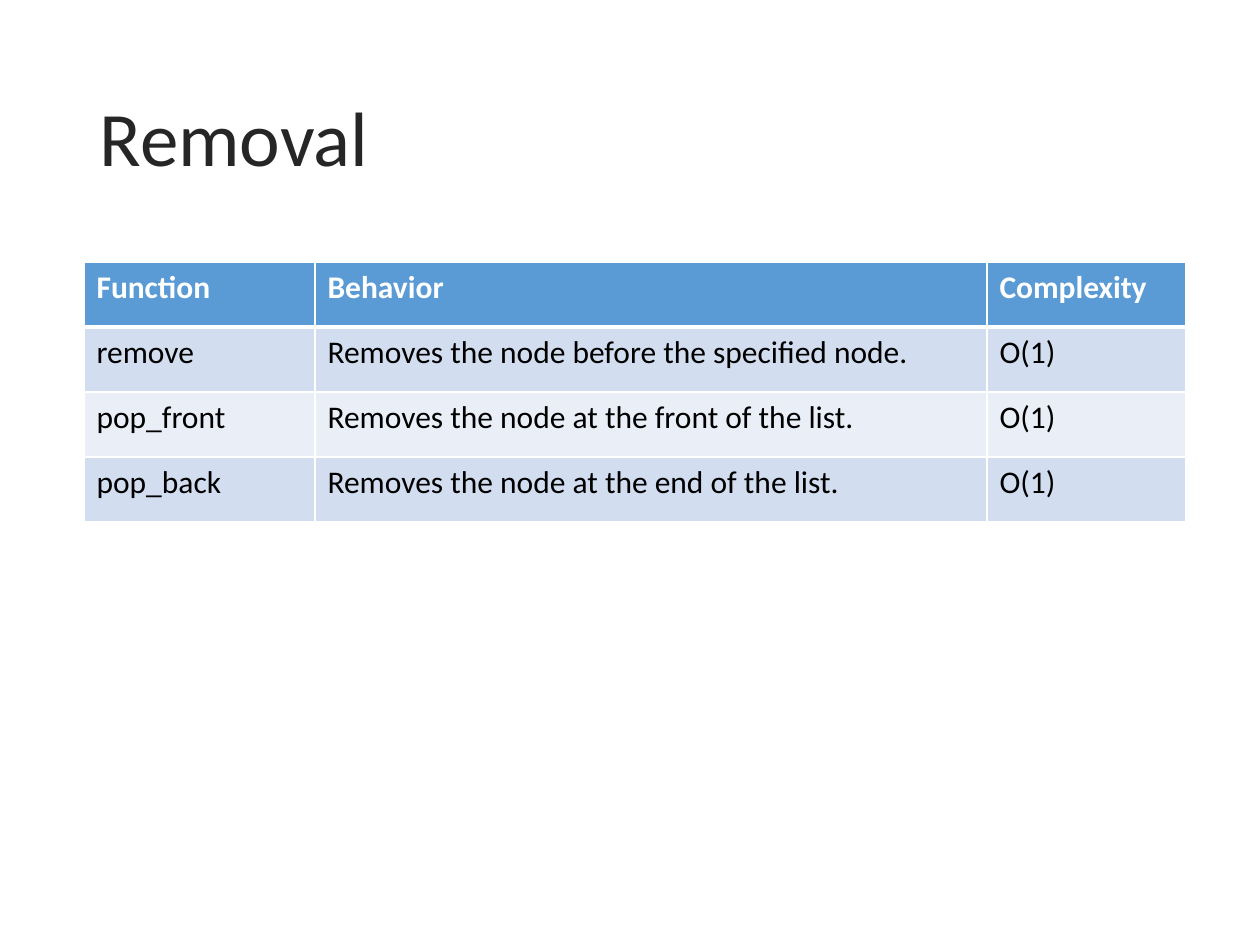
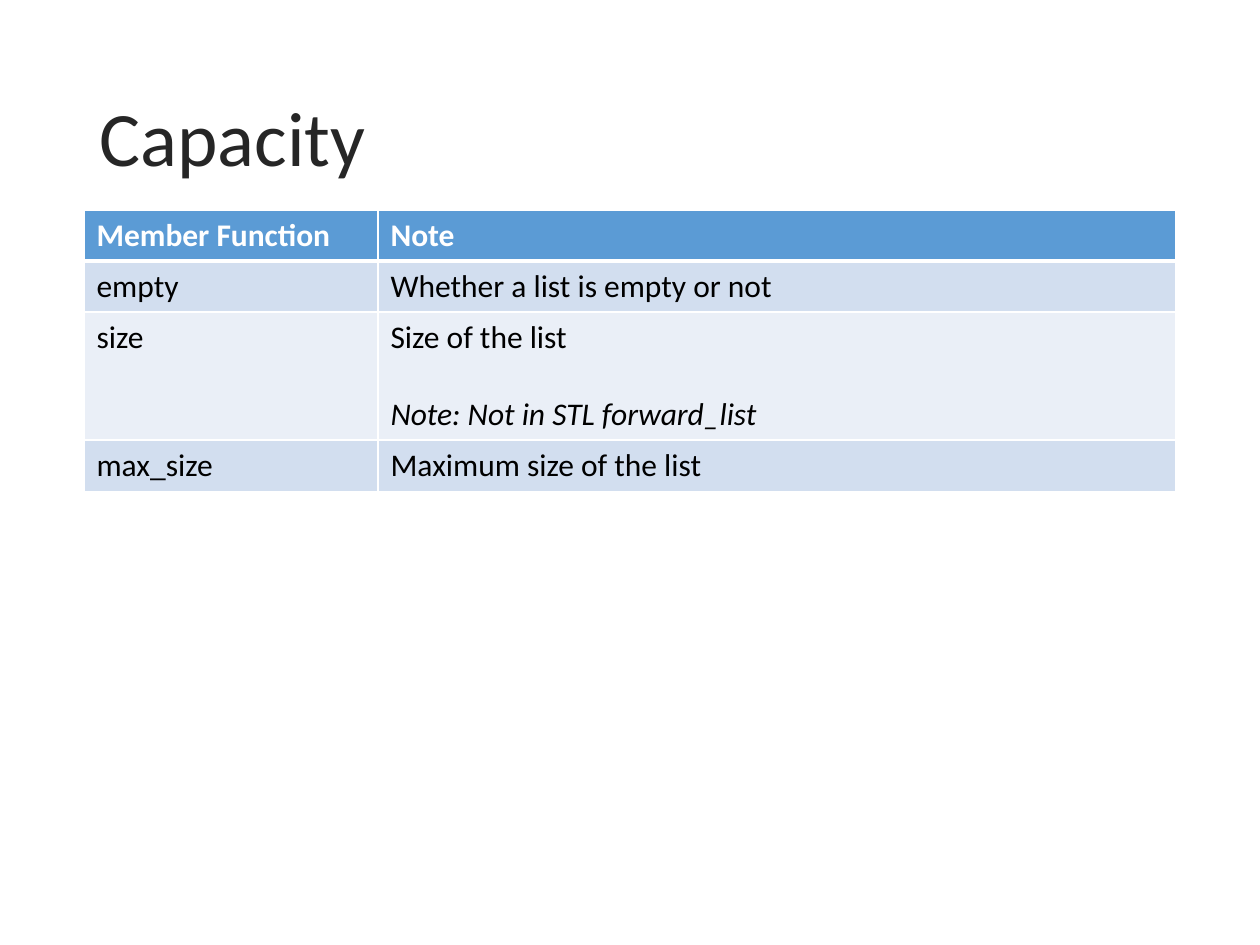
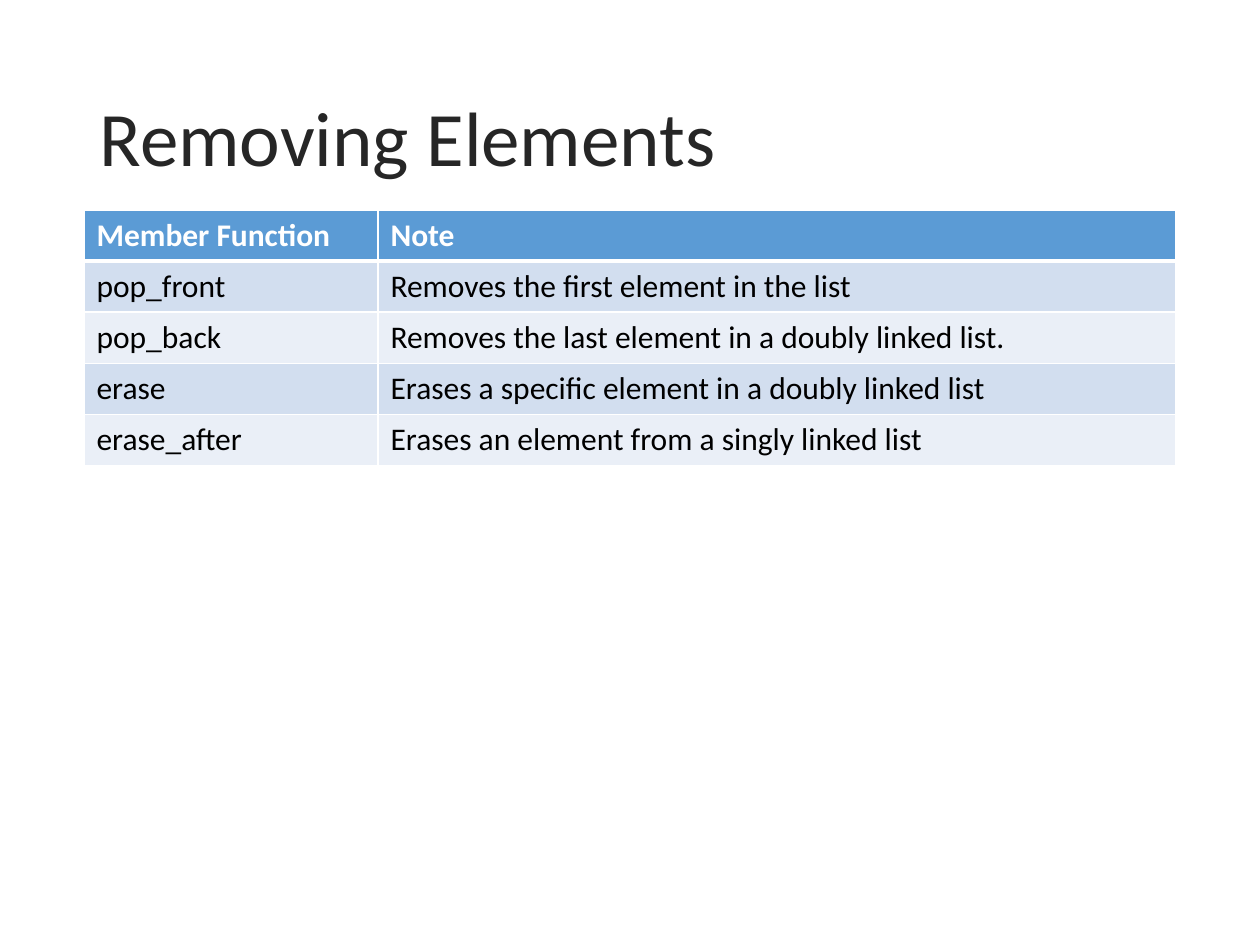
from lxml.etree import SubElement
from pptx import Presentation
from pptx.dml.color import RGBColor
from pptx.enum.text import MSO_ANCHOR, PP_ALIGN
from pptx.oxml.ns import qn
from pptx.util import Emu, Pt

PX_PER_INCH = 126
FONT = "Calibri"
TITLE_INK = RGBColor(0x26, 0x26, 0x26)
BLACK = RGBColor(0x00, 0x00, 0x00)
WHITE = RGBColor(0xFF, 0xFF, 0xFF)
HEADER_BLUE = RGBColor(0x5B, 0x9B, 0xD5)
BAND_DARK = RGBColor(0xD2, 0xDE, 0xEF)
BAND_LIGHT = RGBColor(0xEA, 0xEF, 0xF7)

TABLE_LEFT = 84
NOTE_TOP = 210
NOTE_COLUMNS = (294, 798)
NOTE_ROW = 51
NOTE_HEADER = ("Member Function", "Note")


def px(length):
    return Emu(round(length * 914400 / PX_PER_INCH))


class Deck:
    def __init__(self):
        self.presentation = Presentation()
        self.presentation.slide_width = px(1260)
        self.presentation.slide_height = px(945)
        self.slide = None

    def add_slide(self, heading):
        layout = self.presentation.slide_layouts.get_by_name("Title Only")
        self.slide = self.presentation.slides.add_slide(layout)
        title = self.slide.shapes.title
        title.left, title.top = px(87), px(50)
        title.width, title.height = px(1086), px(183)
        title.text_frame.text = heading
        title.text_frame.vertical_anchor = MSO_ANCHOR.MIDDLE
        paragraph = title.text_frame.paragraphs[0]
        paragraph.alignment = PP_ALIGN.LEFT
        paragraph.line_spacing = 0.9
        self.style_runs(paragraph, 44, TITLE_INK)

    def style_runs(self, paragraph, size, color, bold=False, italic=False):
        for run in paragraph.runs:
            run.font.name = FONT
            run.font.size = Pt(size)
            run.font.color.rgb = color
            run.font.bold = bold
            run.font.italic = italic

    def add_borders(self, cell, bottom):
        properties = cell._tc.get_or_add_tcPr()
        for side, width in (("L", 1), ("R", 1), ("T", 1), ("B", bottom)):
            line = SubElement(properties, qn(f"a:ln{side}"), w=str(Pt(width)))
            fill = SubElement(line, qn("a:solidFill"))
            SubElement(fill, qn("a:srgbClr"), val=str(WHITE))

    def fill_cell(self, cell, text, row):
        header = row == 0
        self.add_borders(cell, 3 if header else 1)
        cell.fill.solid()
        band = BAND_DARK if row % 2 else BAND_LIGHT
        cell.fill.fore_color.rgb = HEADER_BLUE if header else band
        cell.text_frame.text = text
        for index, paragraph in enumerate(cell.text_frame.paragraphs):
            is_remark = index > 0
            if is_remark:
                paragraph.space_before = Pt(22)
            self.style_runs(paragraph, 18, WHITE if header else BLACK,
                            bold=header, italic=is_remark)

    def add_table(self, top, columns, row_height, records, tall_rows=None):
        heights = [row_height] * len(records)
        for row, height in (tall_rows or {}).items():
            heights[row] = height
        table = self.slide.shapes.add_table(
            len(records), len(columns), px(TABLE_LEFT), px(top),
            px(sum(columns)), px(sum(heights))).table
        for column, width in zip(table.columns, columns):
            column.width = px(width)
        for row, record in enumerate(records):
            table.rows[row].height = px(heights[row])
            for column, text in enumerate(record):
                self.fill_cell(table.cell(row, column), text, row)

    def add_note_table(self, records, tall_rows=None):
        self.add_table(NOTE_TOP, NOTE_COLUMNS, NOTE_ROW,
                       [NOTE_HEADER, *records], tall_rows)


def main():
    deck = Deck()

    deck.add_slide("Removal")
    deck.add_table(262, (231, 672, 199), 65, [
        ("Function", "Behavior", "Complexity"),
        ("remove", "Removes the node before the specified node.", "O(1)"),
        ("pop_front", "Removes the node at the front of the list.", "O(1)"),
        ("pop_back", "Removes the node at the end of the list.", "O(1)"),
    ])

    deck.add_slide("Capacity")
    deck.add_note_table([
        ("empty", "Whether a list is empty or not"),
        ("size", "Size of the list\nNote: Not in STL forward_list"),
        ("max_size", "Maximum size of the list"),
    ], tall_rows={2: 128})

    deck.add_slide("Removing Elements")
    deck.add_note_table([
        ("pop_front", "Removes the first element in the list"),
        ("pop_back", "Removes the last element in a doubly linked list."),
        ("erase", "Erases a specific element in a doubly linked list"),
        ("erase_after", "Erases an element from a singly linked list"),
    ])

    deck.presentation.save("out.pptx")


if __name__ == "__main__":
    main()
